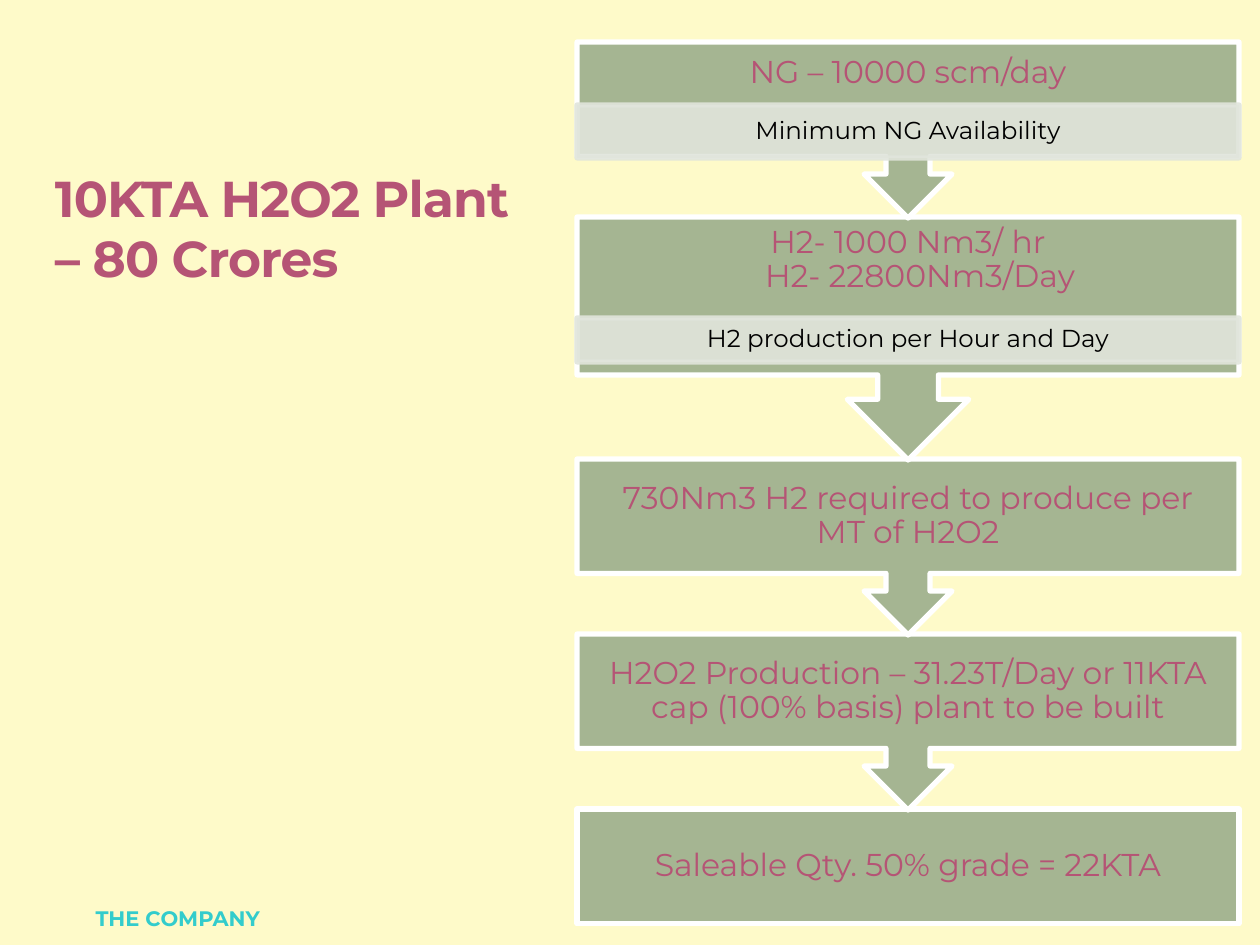
from lxml import etree
from pptx import Presentation
from pptx.dml.color import RGBColor
from pptx.enum.shapes import MSO_SHAPE
from pptx.enum.text import MSO_ANCHOR, PP_ALIGN
from pptx.oxml.ns import qn
from pptx.util import Pt

RECT = MSO_SHAPE.RECTANGLE
ARROW = MSO_SHAPE.UP_ARROW_CALLOUT
MIDDLE, BOTTOM = MSO_ANCHOR.MIDDLE, MSO_ANCHOR.BOTTOM
LEFT, CENTER, RIGHT = PP_ALIGN.LEFT, PP_ALIGN.CENTER, PP_ALIGN.RIGHT

CREAM = RGBColor(0xFE, 0xFA, 0xC9)
GREEN = RGBColor(0xA5, 0xB5, 0x92)
PALE = RGBColor(0xE1, 0xE5, 0xDC)
WHITE = RGBColor(0xFF, 0xFF, 0xFF)
BLACK = RGBColor(0, 0, 0)
ROSE = RGBColor(0xB5, 0x54, 0x75)
TEAL = RGBColor(0x33, 0xCC, 0xCC)

FONT = "Montserrat"
FLOW_X, FLOW_W = 577, 662
BODY = 115
PAD = (18, 18, 18, 18)
SLIM = (14, 3, 14, 3)
STEPS = [
    (42, 176, 62, ["NG – 10000 scm/day"],
     (105, 53, "Minimum NG Availability")),
    (217, 243, 86, ["H2- 1000 Nm3/ hr", "H2- 22800Nm3/Day"],
     (318, 44, "H2 production per Hour and Day")),
    (459, 176, BODY, ["730Nm3 H2 required to produce per MT of H2O2"], None),
    (634, 176, BODY, ["H2O2 Production – 31.23T/Day or 11KTA cap "
                      "(100% basis) plant to be built"], None),
    (809, BODY, BODY, ["Saleable Qty. 50% grade = 22KTA"], None),
]


def px(n):
    """Turn pixels into EMU."""
    return round(n * 914400 / 126)


def add_box(slide, kind, top, high, fill, line, alpha=None):
    """Draw one filled shape in the flow column."""
    box = slide.shapes.add_shape(kind, px(FLOW_X), px(top), px(FLOW_W), px(high))
    box.shadow.inherit = False
    box.fill.solid()
    box.fill.fore_color.rgb = fill
    box.line.color.rgb = line
    box.line.width = Pt(3)
    if alpha:
        for tint in box._element.spPr.iter(qn("a:srgbClr")):
            etree.SubElement(tint, qn("a:alpha")).set("val", str(alpha * 1000))
    return box


def add_text(slide, area, lines, size, color, pad=SLIM, align=CENTER,
             anchor=MIDDLE, bold=False, space=1.0, shift=0, track=0):
    """Place a text box; shift indents the lines after the first."""
    frame = slide.shapes.add_textbox(*map(px, area)).text_frame
    left, top, right, low = map(px, pad)
    look = {"word_wrap": True, "vertical_anchor": anchor,
            "margin_left": left, "margin_top": top,
            "margin_right": right, "margin_bottom": low}
    for name, value in look.items():
        setattr(frame, name, value)
    for i, line in enumerate(lines):
        para = frame.add_paragraph() if i else frame.paragraphs[0]
        para.alignment = align
        para.line_spacing = space
        if i and shift:
            para._p.get_or_add_pPr().set("marL", str(px(shift)))
        run = para.add_run()
        run.text = line
        style = {"name": FONT, "size": Pt(size), "bold": bold}
        for name, value in style.items():
            setattr(run.font, name, value)
        run.font.color.rgb = color
        if track:
            run._r.get_or_add_rPr().set("spc", str(track))


def add_step(slide, top, high, body, lines, band):
    """Draw one step of the flow with its text and band."""
    last = high == BODY
    box = add_box(slide, RECT if last else ARROW, top, high, GREEN, WHITE)
    box.rotation = 0 if last else 180
    add_text(slide, (FLOW_X, top, FLOW_W, body), lines, 18, ROSE, PAD,
             space=0.9, shift=24)
    if band:
        start, tall, label = band
        add_box(slide, RECT, start, tall, PALE, PALE, 90)
        add_text(slide, (FLOW_X, start, FLOW_W, tall), [label], 14, BLACK,
                 space=0.9)


def main():
    """Build the slide and save it."""
    deck = Presentation()
    deck.slide_width, deck.slide_height = px(1260), px(945)
    slide = deck.slides.add_slide(deck.slide_layouts[6])
    slide.background.fill.solid()
    slide.background.fill.fore_color.rgb = CREAM
    for step in reversed(STEPS):
        add_step(slide, *step)
    add_text(slide, (42, 73, 494, 221), ["10KTA H2O2 Plant – 80 Crores"], 28.8,
             ROSE, (13, 13, 13, 6), LEFT, BOTTOM, True, track=-50)
    add_text(slide, (0, 892, 273, 53), ["THE COMPANY"], 12, TEAL,
             (13, 6, 13, 6), RIGHT, bold=True)
    deck.save("out.pptx")


if __name__ == "__main__":
    main()
